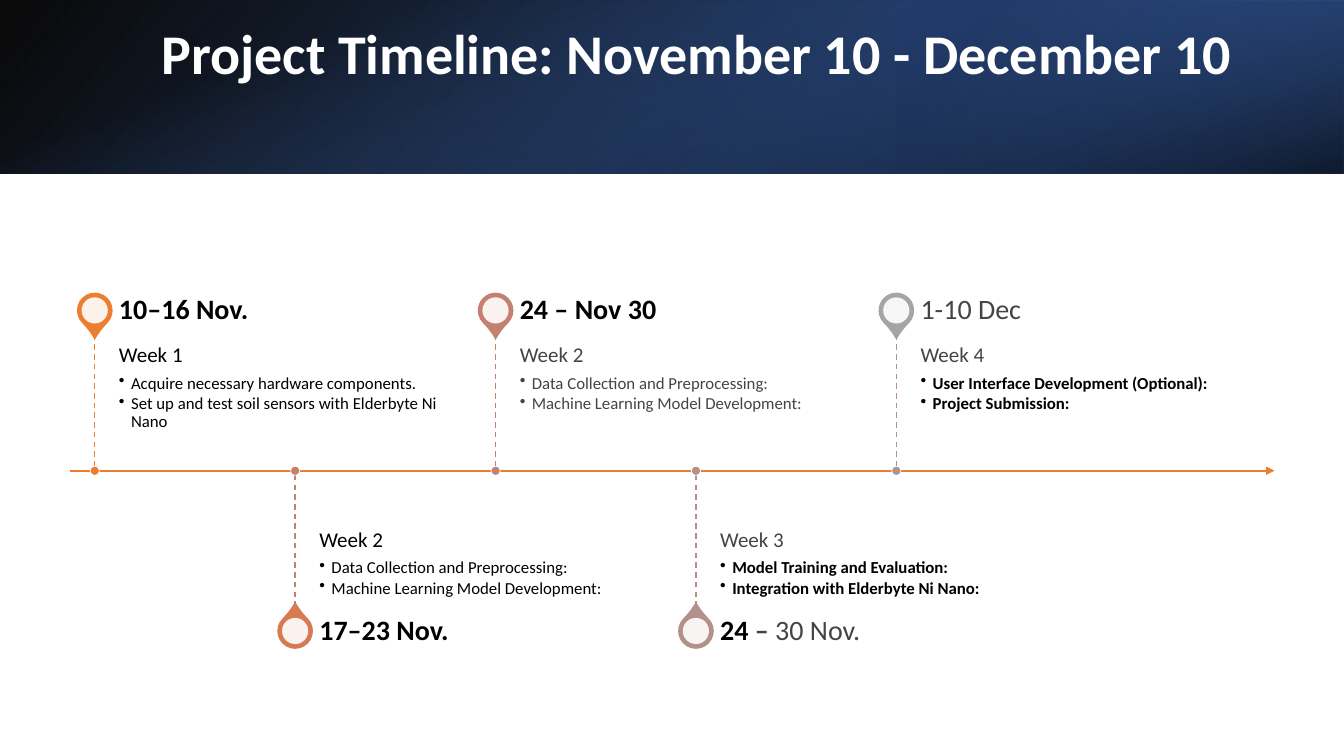
from dataclasses import dataclass

from lxml.etree import SubElement
from pptx import Presentation
from pptx.dml.color import RGBColor
from pptx.enum.dml import MSO_LINE
from pptx.enum.shapes import MSO_CONNECTOR, MSO_SHAPE
from pptx.enum.text import MSO_ANCHOR, MSO_AUTO_SIZE, PP_ALIGN
from pptx.oxml.ns import qn
from pptx.util import Inches, Pt

COLORS = {
    "black": "000000", "white": "FFFFFF", "grey": "444444",
    "orange": "ED7D31", "copper": "D87A51", "rose": "C48170",
    "mauve": "B4908B", "silver": "A5A5A5", "taupe": "B09391",
    "blue": "4472C4", "mid_blue": "2F5597", "navy": "203864",
}
FONT = "Calibri"
AXIS_Y = 4.67
FIRST_STEM, LAST_STEM = 0.94, 8.89
STEM_LENGTH, PIN_OFFSET = 1.35, 1.59
DATE_HEIGHT, TEXT_WIDTH, TEXT_GAP = 0.48, 3.31, 0.24


@dataclass
class Band:
    box: tuple[float, float, float, float]
    rotation: int
    flipped: bool
    stops: list[tuple[int, str, int]]
    angle: int


@dataclass
class DatePart:
    text: str
    color: str = "black"
    bold: bool = True


@dataclass
class Week:
    date: list[DatePart]
    name: str
    tasks: list[str]
    pin: str
    stem: str
    name_color: str = "black"
    task_color: str = "black"
    bold_tasks: bool = False


BANDS = [
    Band((0, 0, 13.33, 1.72), 0, True, [(0, "black", 96), (100, "mid_blue", 100)], 140),
    Band((8.89, 0, 4.44, 1.72), 180, True, [(19, "navy", 68), (100, "blue", 79)], 320),
    Band((5.8, -5.8, 1.72, 13.33), 90, False, [(23, "blue", 0), (99, "black", 74)], 340),
]
DATA_TASKS = ["Data Collection and Preprocessing:", "Machine Learning Model Development:"]
WEEKS = [
    Week([DatePart("10–16 Nov.")], "Week 1",
         ["Acquire necessary hardware components.",
          "Set up and test soil sensors with Elderbyte Ni Nano"],
         "orange", "orange"),
    Week([DatePart("17–23 Nov.")], "Week 2", DATA_TASKS, "copper", "rose"),
    Week([DatePart("24 – Nov 30")], "Week 2", DATA_TASKS, "rose", "rose", "grey", "grey"),
    Week([DatePart("24 "), DatePart("– ", "grey"), DatePart("30 Nov.", "grey", False)],
         "Week 3",
         ["Model Training and Evaluation:", "Integration with Elderbyte Ni Nano:"],
         "mauve", "mauve", "grey", bold_tasks=True),
    Week([DatePart("1-10 Dec", "grey", False)], "Week 4",
         ["User Interface Development (Optional):", "Project Submission:"],
         "silver", "taupe", "grey", bold_tasks=True),
]


def rgb(color: str) -> RGBColor:
    return RGBColor.from_string(COLORS[color])


def set_font(font, color: str, bold: bool, size: float | None = None) -> None:
    font.color.rgb = rgb(color)
    font.bold = bold
    if size:
        font.size = Pt(size)
        font.name = FONT


def add_alpha(color_parent, alpha: int) -> None:
    SubElement(color_parent.find(qn("a:srgbClr")), qn("a:alpha"), val=str(alpha * 1000))


def add_band(shapes, band: Band) -> None:
    shape = shapes.add_shape(MSO_SHAPE.RECTANGLE, *map(Inches, band.box))
    shape.shadow.inherit = False
    shape.rotation = band.rotation
    shape.line.fill.background()
    if band.flipped:
        shape._element.spPr.find(qn("a:xfrm")).set("flipH", "1")
    shape.fill.gradient()
    shape.fill.gradient_angle = 360 - band.angle
    for stop, (position, color, alpha) in zip(shape.fill.gradient_stops, band.stops):
        stop.position = position / 100
        stop.color.rgb = rgb(color)
    for node, (_, _, alpha) in zip(shape._element.spPr.iter(qn("a:gs")), band.stops):
        add_alpha(node, alpha)


def add_line(shapes, start: tuple[float, float], end: tuple[float, float],
             color: str, width: float, dashed: bool = False, arrow: bool = False) -> None:
    line = shapes.add_connector(MSO_CONNECTOR.STRAIGHT, *map(Inches, (*start, *end)))
    line.line.color.rgb = rgb(color)
    line.line.width = Pt(width)
    if dashed:
        line.line.dash_style = MSO_LINE.DASH
    properties = line._element.spPr
    if arrow:
        SubElement(properties.find(qn("a:ln")), qn("a:tailEnd"), type="triangle")
    SubElement(properties, qn("a:effectLst"))


def add_marker(shapes, kind: MSO_SHAPE, x: float, y: float, size: float, fill: str,
               outline: str | None = None, width: float = 1):
    marker = shapes.add_shape(kind, *map(Inches, (x - size / 2, y - size / 2, size, size)))
    marker.shadow.inherit = False
    marker.fill.solid()
    marker.fill.fore_color.rgb = rgb(fill)
    if outline:
        marker.line.color.rgb = rgb(outline)
        marker.line.width = Pt(width)
    else:
        marker.line.fill.background()
    return marker


def add_text(shapes, x: float, y: float, height: float, anchor: MSO_ANCHOR,
             margins: tuple[float, float, float, float]):
    frame = shapes.add_textbox(*map(Inches, (x, y, TEXT_WIDTH, height))).text_frame
    frame.word_wrap = True
    frame.vertical_anchor = anchor
    (frame.margin_left, frame.margin_top,
     frame.margin_right, frame.margin_bottom) = map(Inches, margins)
    return frame


def add_date(shapes, week: Week, x: float, y: float) -> None:
    frame = add_text(shapes, x, y, DATE_HEIGHT, MSO_ANCHOR.MIDDLE, (0, 0, 0.14, 0))
    paragraph = frame.paragraphs[0]
    paragraph.line_spacing = 0.9
    first = week.date[0]
    set_font(paragraph.font, first.color, first.bold, 20)
    for part in week.date:
        run = paragraph.add_run()
        run.text = part.text
        if part != first:
            set_font(run.font, part.color, part.bold)


def add_tasks(shapes, week: Week, x: float, above: bool) -> None:
    if above:
        frame = add_text(shapes, x, AXIS_Y - STEM_LENGTH, 1.36, MSO_ANCHOR.TOP, (0, 0.1, 0.1, 0.16))
    else:
        frame = add_text(shapes, x, AXIS_Y, 1.36, MSO_ANCHOR.BOTTOM, (0, 0.16, 0, 0.1))
    heading = frame.paragraphs[0]
    heading.text = week.name
    heading.line_spacing = 0.9
    heading.space_after = Pt(5.25)
    set_font(heading.font, week.name_color, False, 15)
    for task in week.tasks:
        item = frame.add_paragraph()
        item.text = task
        item.level = 1
        item.line_spacing = 0.9
        item.space_after = Pt(1.5)
        properties = item._p.get_or_add_pPr()
        properties.set("marL", str(Inches(0.12)))
        properties.set("indent", str(-Inches(0.12)))
        SubElement(properties, qn("a:buChar"), char="•")
        set_font(item.font, week.task_color, week.bold_tasks, 12)


def add_week(shapes, week: Week, x: float, above: bool) -> None:
    side = -1 if above else 1
    pin_y = AXIS_Y + side * PIN_OFFSET
    pin = add_marker(shapes, MSO_SHAPE.TEAR, x, pin_y, 0.34, week.pin, week.pin)
    pin.rotation = 135 if above else 315
    pin.adjustments[0] = 1.15
    hole = add_marker(shapes, MSO_SHAPE.OVAL, x, pin_y, 0.26, "white")
    add_alpha(hole._element.spPr.find(qn("a:solidFill")), 90)
    add_tasks(shapes, week, x + TEXT_GAP, above)
    add_date(shapes, week, x + TEXT_GAP, pin_y - DATE_HEIGHT / 2)
    add_line(shapes, (x, AXIS_Y + side * STEM_LENGTH), (x, AXIS_Y), week.stem, 1, dashed=True)
    add_marker(shapes, MSO_SHAPE.OVAL, x, AXIS_Y, 0.09, week.stem, "white", 0.5)


def add_title(shapes) -> None:
    title = shapes.title
    shapes._spTree.append(title._element)
    title.left, title.top, title.width, title.height = map(Inches, (1.5, 0.38, 10.98, 0.96))
    frame = title.text_frame
    frame.auto_size = MSO_AUTO_SIZE.NONE
    frame.vertical_anchor = MSO_ANCHOR.MIDDLE
    frame.margin_bottom = Inches(0.66)
    frame.text = "Project Timeline: November 10 - December 10"
    heading = frame.paragraphs[0]
    heading.alignment = PP_ALIGN.LEFT
    heading.line_spacing = 0.9
    set_font(heading.font, "white", True, 40)


def main() -> None:
    deck = Presentation()
    deck.slide_width, deck.slide_height = Inches(13.33), Inches(7.5)
    shapes = deck.slides.add_slide(deck.slide_layouts[5]).shapes
    for band in BANDS:
        add_band(shapes, band)
    add_title(shapes)
    add_line(shapes, (0.69, AXIS_Y), (12.64, AXIS_Y), "orange", 1.5, arrow=True)
    step = (LAST_STEM - FIRST_STEM) / (len(WEEKS) - 1)
    for index, week in enumerate(WEEKS):
        add_week(shapes, week, FIRST_STEM + index * step, index % 2 == 0)
    deck.save("out.pptx")


if __name__ == "__main__":
    main()
